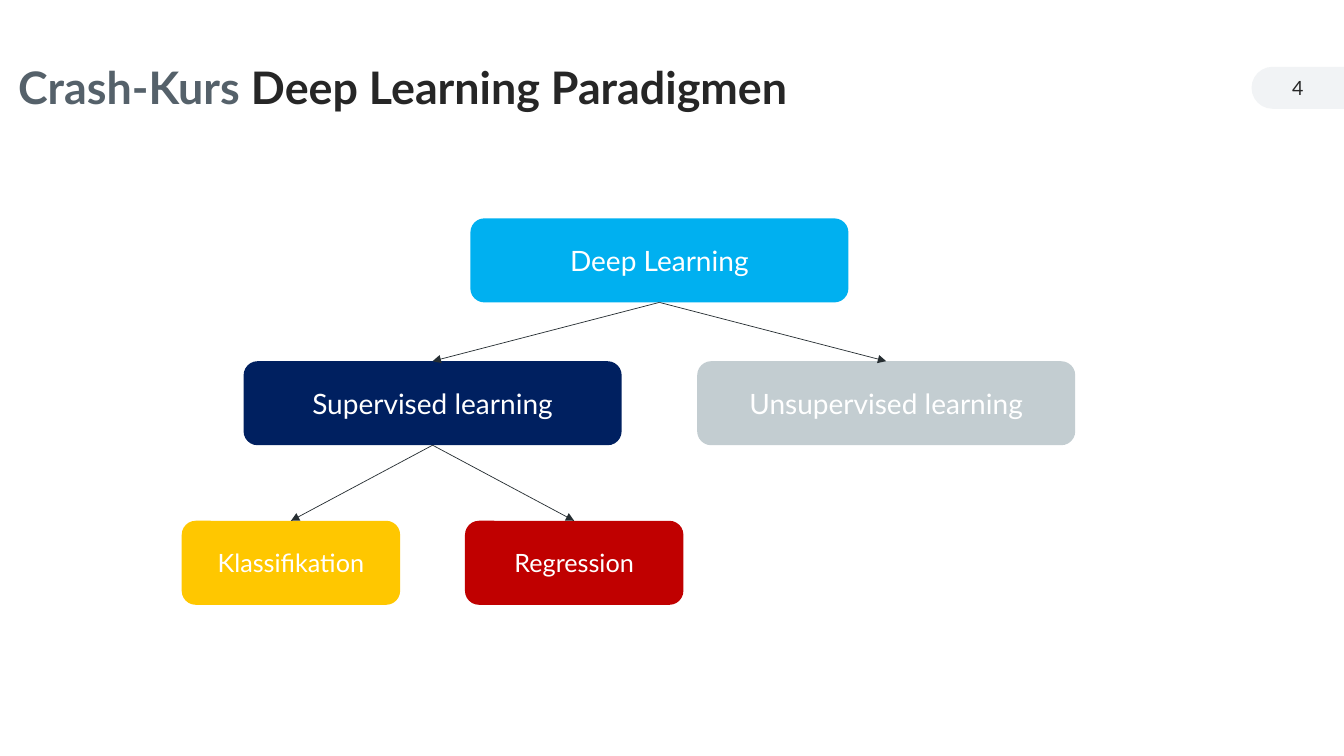
from lxml import etree
from pptx import Presentation
from pptx.dml.color import RGBColor
from pptx.enum.shapes import MSO_CONNECTOR, MSO_SHAPE
from pptx.enum.text import MSO_ANCHOR, PP_ALIGN
from pptx.oxml.ns import qn
from pptx.util import Inches, Pt

ROUNDED, TAB = MSO_SHAPE.ROUNDED_RECTANGLE, MSO_SHAPE.ROUND_2_SAME_RECTANGLE
STRAIGHT = MSO_CONNECTOR.STRAIGHT
MIDDLE = MSO_ANCHOR.MIDDLE
LEFT, CENTER = PP_ALIGN.LEFT, PP_ALIGN.CENTER

SKY = RGBColor(0x00, 0xB0, 0xF0)
NAVY = RGBColor(0x00, 0x20, 0x60)
SILVER = RGBColor(0xC3, 0xCD, 0xD1)
YELLOW = RGBColor(0xFF, 0xC7, 0x00)
RED = RGBColor(0xC0, 0x00, 0x00)
WHITE = RGBColor(0xFF, 0xFF, 0xFF)
INK = RGBColor(0x26, 0x26, 0x26)
SLATE = RGBColor(0x55, 0x61, 0x6A)
PALE = RGBColor(0xF1, 0xF3, 0xF5)
ARROW = RGBColor(0x26, 0x2E, 0x32)

# Content: the tree lists each parent before its children
TITLE = [("Crash-Kurs ", SLATE), ("Deep Learning Paradigmen", INK)]
PAGE = [("4", INK)]
TREE = [  # label, parent, side of parent, fill
    ("Deep Learning", None, 0, SKY),
    ("Supervised learning", "Deep Learning", -1, NAVY),
    ("Unsupervised learning", "Deep Learning", 1, SILVER),
    ("Klassifikation", "Supervised learning", -1, YELLOW),
    ("Regression", "Supervised learning", 1, RED),
]

# Grid of 160 columns by 90 rows
COLS, ROWS = 160, 90
ROOT_CENTER, BOX_H = 78.5, 10
LEVELS = [  # top row, box width, distance from parent's centre, text size
    (26, 45, 0, 20),
    (43, 45, 27, 20),
    (62, 26, 16.86, 18),
]
TITLE_BOX = (2.16, 5.4, 95.8, 10.6)
TAB_X, TAB_Y, TAB_W, TAB_H = 149, 7.95, 11, 5

prs = Presentation()
prs.slide_width, prs.slide_height = Inches(13.33), Inches(7.5)
s = prs.slides.add_slide(prs.slide_layouts[6])


def place(x, y, w, h):
    unit_x, unit_y = prs.slide_width / COLS, prs.slide_height / ROWS
    return [int(v) for v in (x * unit_x, y * unit_y, w * unit_x, h * unit_y)]


def write(sp, runs, size, align=CENTER, bold=False, **frame):
    tf = sp.text_frame
    for name, value in {"word_wrap": True, "vertical_anchor": MIDDLE, **frame}.items():
        setattr(tf, name, value)
    p = tf.paragraphs[0]
    p.alignment = align
    for text, color in runs:
        r = p.add_run()
        r.text = text
        for name, value in {"name": "Lato", "size": Pt(size), "bold": bold}.items():
            setattr(r.font, name, value)
        r.font.color.rgb = color
    return p


def add_filled(kind, box, fill):
    sp = s.shapes.add_shape(kind, *place(*box))
    sp.shadow.inherit = False
    sp.fill.solid()
    sp.fill.fore_color.rgb = fill
    sp.line.fill.background()
    return sp


def add_arrow(parent, child):
    line = s.shapes.add_connector(STRAIGHT, 0, 0, 0, 0)
    line.begin_connect(parent, 2)
    line.end_connect(child, 0)
    line.line.width = Pt(0.5)
    line.line.color.rgb = ARROW
    etree.SubElement(line.line._get_or_add_ln(), qn("a:tailEnd"), type="triangle")
    etree.SubElement(line._element.spPr, qn("a:effectLst"))


# Page number tab: an upright tab turned to face left
tab_box = (TAB_X, TAB_Y, TAB_W, TAB_H)
tab = add_filled(TAB, tab_box, PALE)
x, y, w, h = place(*tab_box)
tab.left, tab.top, tab.width, tab.height = x + (w - h) // 2, y + (h - w) // 2, h, w
tab.rotation = 270
tab.adjustments[0] = 0.5
no_sides = {"margin_left": 0, "margin_right": 0}
write(s.shapes.add_textbox(x, y, w, h), PAGE, 14, **no_sides)

# Title
title = s.shapes.add_textbox(*place(*TITLE_BOX))
write(title, TITLE, 32, LEFT, True, **no_sides).line_spacing = 0.9

# Tree boxes
nodes = {}
for label, parent, side, fill in TREE:
    level = nodes[parent][2] + 1 if parent else 0
    top, width, offset, size = LEVELS[level]
    center = nodes[parent][1] + side * offset if parent else ROOT_CENTER
    sp = add_filled(ROUNDED, (center - width / 2, top, width, BOX_H), fill)
    write(sp, [(label, WHITE)], size)
    nodes[label] = sp, center, level

# Arrows from parent to child
for label, parent, _, _ in TREE:
    if parent:
        add_arrow(nodes[parent][0], nodes[label][0])

prs.save("out.pptx")
